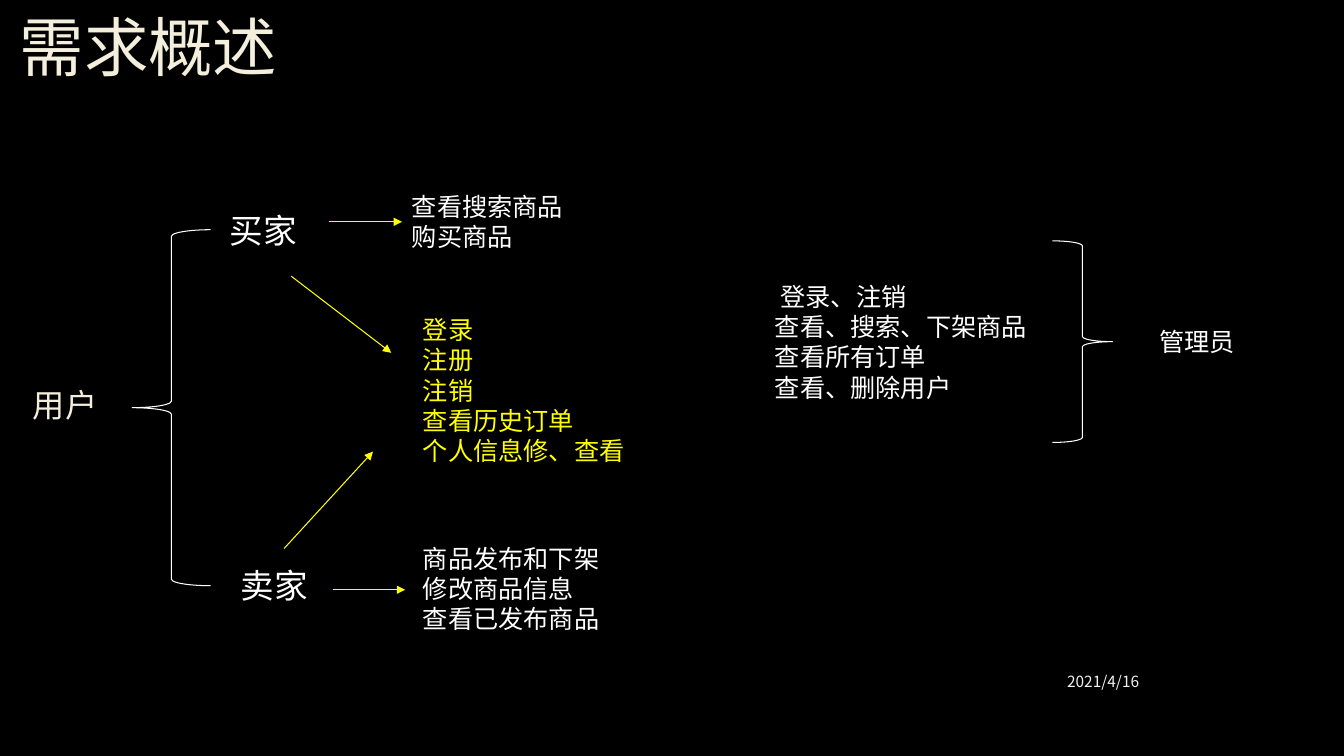
from lxml import etree
from pptx import Presentation
from pptx.dml.color import RGBColor
from pptx.enum.shapes import MSO_CONNECTOR, MSO_SHAPE
from pptx.enum.text import MSO_ANCHOR, PP_ALIGN
from pptx.oxml.ns import qn
from pptx.util import Cm, Pt

LEFT_BRACE, RIGHT_BRACE = MSO_SHAPE.LEFT_BRACE, MSO_SHAPE.RIGHT_BRACE
STRAIGHT = MSO_CONNECTOR.STRAIGHT
TOP, MIDDLE = MSO_ANCHOR.TOP, MSO_ANCHOR.MIDDLE
LEFT, RIGHT = PP_ALIGN.LEFT, PP_ALIGN.RIGHT

SANS, SERIF = "Noto Sans CJK SC", "Times New Roman"
BLACK, WHITE, CREAM, YELLOW, PALE = "000000", "FFFFFF", "F4EEDC", "FFFF00", "F2F2F2"

# text, (left, top, width, height) in cm, size, colour
LABELS = [
    (["买家"], (5.54, 5.16, 5.97, 1.27), 24, WHITE),
    (["卖家"], (5.82, 14.12, 2.46, 1.27), 24, WHITE),
    (["查看搜索商品", "购买商品"], (10.13, 4.7, 7.01, 1.8), 18, WHITE),
    (["商品发布和下架", "修改商品信息", "查看已发布商品"],
     (10.41, 13.56, 9.47, 2.57), 18, WHITE),
    (["登录", "注册", "注销", "查看历史订单", "个人信息修、查看"],
     (10.41, 7.8, 5.99, 4.11), 18, YELLOW),
    ([" 登录、注销", "查看、搜索、下架商品", "查看所有订单", "查看、删除用户"],
     (19.28, 6.96, 8.51, 3.33), 18, WHITE),
    (["管理员"], (28.96, 8.1, 2.44, 1.02), 18, WHITE),
]
BRACES = [
    (LEFT_BRACE, (3.33, 5.79, 1.98, 8.97)),
    (RIGHT_BRACE, (26.52, 6.07, 1.52, 5.08)),
]
# from x, from y, to x, to y in cm
ARROWS = [
    (7.34, 6.96, 9.86, 8.89),
    (7.16, 13.82, 9.4, 11.38),
    (8.28, 5.59, 10.13, 5.59),
    (8.38, 14.86, 10.21, 14.86),
]


def rgb(color):
    return RGBColor.from_string(color)


def add_text(s, lines, box, size, color, font=SERIF, anchor=TOP, align=LEFT, spacing=1.0):
    tf = s.shapes.add_textbox(*map(Cm, box)).text_frame
    tf.word_wrap = True
    tf.vertical_anchor = anchor
    for i, line in enumerate(lines):
        p = tf.paragraphs[0] if i == 0 else tf.add_paragraph()
        for name, value in {"alignment": align, "line_spacing": spacing}.items():
            setattr(p, name, value)
        r = p.add_run()
        r.text = line
        for name, value in {"name": font, "size": Pt(size)}.items():
            setattr(r.font, name, value)
        r.font.color.rgb = rgb(color)
        etree.SubElement(r.font._element, qn("a:ea"), typeface=SANS)


def set_line(sp, color):
    sp.line.color.rgb = rgb(color)
    sp.line.width = Pt(0.75)


def add_brace(s, kind, box):
    sp = s.shapes.add_shape(kind, *map(Cm, box))
    sp.shadow.inherit = False
    sp.fill.background()
    set_line(sp, WHITE)


def add_arrow(s, points):
    sp = s.shapes.add_connector(STRAIGHT, *map(Cm, points))
    set_line(sp, YELLOW)
    etree.SubElement(sp.line._get_or_add_ln(), qn("a:tailEnd"), type="triangle")
    etree.SubElement(sp._element.spPr, qn("a:effectLst"))


def main():
    prs = Presentation()
    prs.slide_width, prs.slide_height = Cm(33.87), Cm(19.05)
    s = prs.slides.add_slide(prs.slide_layouts[6])
    s.background.fill.solid()
    s.background.fill.fore_color.rgb = rgb(BLACK)

    add_text(s, ["需求概述"], (0.25, 0.23, 28.75, 2.11), 46, CREAM, SANS, MIDDLE, spacing=0.9)
    add_text(s, ["用户"], (0.58, 9.5, 2.6, 1.4), 23, CREAM, SANS, MIDDLE)
    add_text(s, ["2021/4/16"], (21.34, 16.66, 7.62, 1.02), 11, PALE, SANS, MIDDLE, RIGHT)
    for kind, box in BRACES:
        add_brace(s, kind, box)
    for label in LABELS:
        add_text(s, *label)
    for points in ARROWS:
        add_arrow(s, points)
    prs.save("out.pptx")


if __name__ == "__main__":
    main()
